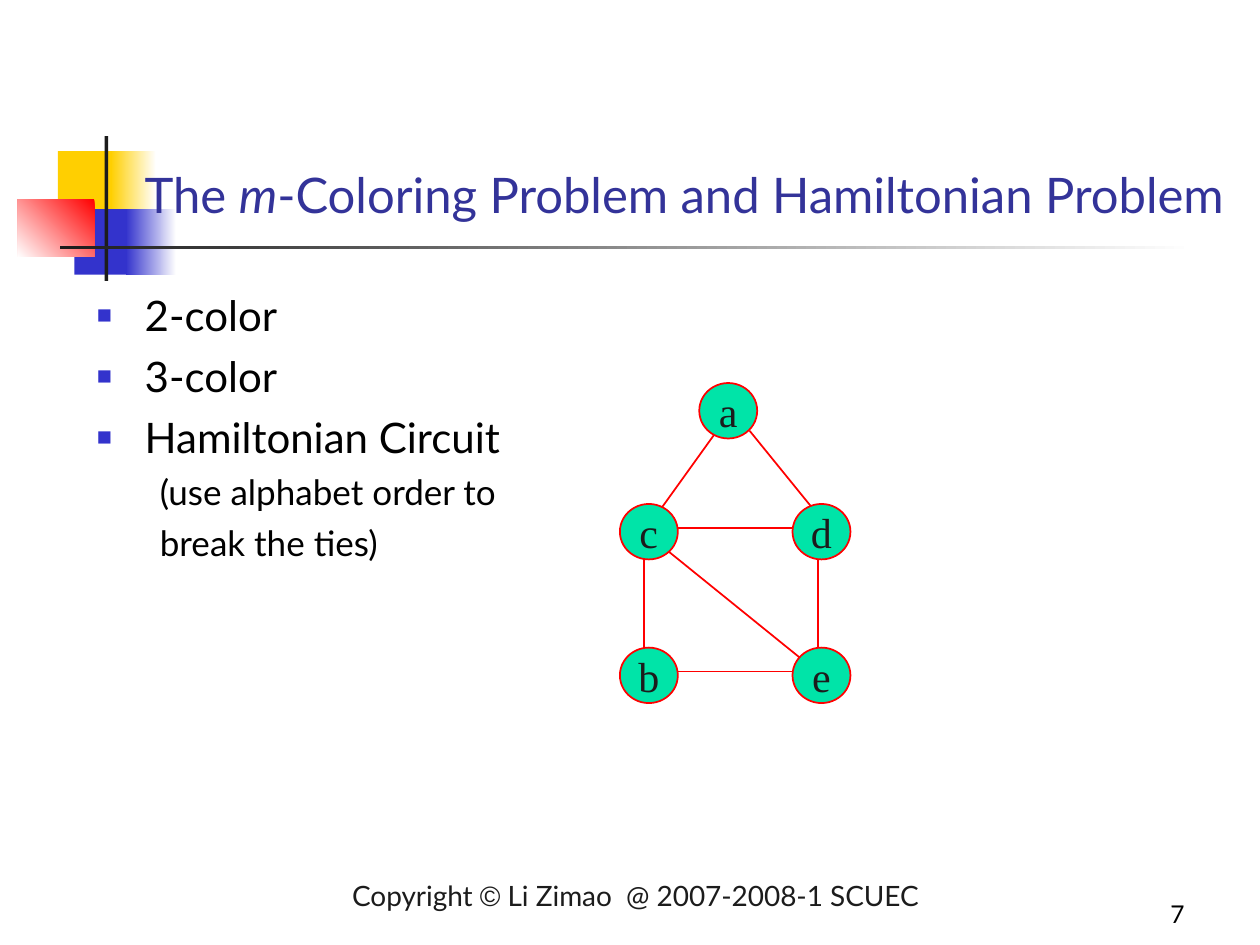
import pptx
import pptx.util
import pptx.dml.color
import pptx.enum.shapes
import pptx.enum.text
import pptx.oxml

Inches = pptx.util.Inches
Pt = pptx.util.Pt
Align = pptx.enum.text.PP_ALIGN
Anchor = pptx.enum.text.MSO_ANCHOR
Shape = pptx.enum.shapes.MSO_SHAPE
Line = pptx.enum.shapes.MSO_CONNECTOR
NS = 'xmlns:a="http://schemas.openxmlformats.org/drawingml/2006/main"'


def color(code):
    return pptx.dml.color.RGBColor.from_string(code)


def add_xml(parent, body):
    """Append one DrawingML element, given without its namespace."""
    name, rest = body.split(" ", 1)
    parent.append(pptx.oxml.parse_xml(f"<a:{name} {NS} {rest}"))


class Deck:
    font = "Lato"
    ink = "1C1C1C"
    edge = "FF0000"
    node = "00E4A8"
    blue = "3333CC"

    def __init__(self, slide):
        self.slide = slide

    def shape(self, kind, left, top, width, height):
        shape = self.slide.shapes.add_shape(
            kind, Inches(left), Inches(top), Inches(width), Inches(height))
        shape.shadow.inherit = False
        shape.line.fill.background()
        return shape

    def bar(self, left, top, width, height, fill):
        shape = self.shape(Shape.RECTANGLE, left, top, width, height)
        shape.fill.solid()
        shape.fill.fore_color.rgb = color(fill)

    def fade(self, left, top, width, height, start, end, angle=180):
        shape = self.shape(Shape.RECTANGLE, left, top, width, height)
        shape.fill.gradient()
        shape.fill.gradient_angle = angle
        for stop, code in zip(shape.fill.gradient_stops, (start, end)):
            stop.color.rgb = color(code)

    def style(self, para, size, code, font=None):
        para.font.size = Pt(size)
        para.font.name = font or self.font
        para.font.color.rgb = color(code)

    def box(self, left, top, width, height, anchor=Anchor.TOP):
        frame = self.slide.shapes.add_textbox(
            Inches(left), Inches(top), Inches(width), Inches(height)).text_frame
        frame.word_wrap = True
        frame.vertical_anchor = anchor
        return frame

    def text(self, frame, parts, size, code, align=Align.LEFT):
        """Fill the first paragraph with runs and return them."""
        para = frame.paragraphs[0]
        para.alignment = align
        self.style(para, size, code)
        runs = []
        for part in parts:
            run = para.add_run()
            run.text = part
            runs.append(run)
        return runs

    def item(self, para, text, size, margin, hang, space, bullet):
        props = para._p.get_or_add_pPr()
        props.set("marL", str(Inches(margin)))
        props.set("indent", str(-Inches(hang)))
        if bullet:
            add_xml(props, f'buClr ><a:srgbClr val="{self.blue}"/></a:buClr>')
            add_xml(props, 'buSzPct val="60000"/>')
            add_xml(props, 'buFont typeface="Arial"/>')
            add_xml(props, 'buChar char="■"/>')
        else:
            add_xml(props, "buNone />")
        if space:
            para.space_before = Pt(space)
        self.style(para, size, "000000")
        para.add_run().text = text

    def link(self, x1, y1, x2, y2):
        line = self.slide.shapes.add_connector(
            Line.STRAIGHT, Inches(x1), Inches(y1), Inches(x2), Inches(y2))
        line.line.color.rgb = color(self.edge)
        line.line.width = Pt(1)
        add_xml(line._element.spPr, "effectLst />")

    def circle(self, name, left, top):
        shape = self.shape(Shape.OVAL, left, top, 0.46, 0.44)
        shape.fill.solid()
        shape.fill.fore_color.rgb = color(self.node)
        shape.line.color.rgb = color(self.edge)
        shape.line.width = Pt(1)
        frame = shape.text_frame
        frame.word_wrap = False
        frame.vertical_anchor = Anchor.MIDDLE
        para = frame.paragraphs[0]
        para.alignment = Align.CENTER
        self.style(para, 24, self.ink, "Times New Roman")
        para.add_run().text = name


def main():
    show = pptx.Presentation()
    show.slide_width, show.slide_height = Inches(10), Inches(7.5)
    deck = Deck(show.slides.add_slide(show.slide_layouts[6]))

    # Corner ornament and rule
    deck.bar(0.46, 1.2, 0.48, 0.52, "FFCF01")
    deck.fade(0.88, 1.2, 0.36, 0.52, "FFFFFF", "FFCF01")
    deck.bar(0.59, 1.66, 0.46, 0.52, deck.blue)
    deck.fade(1, 1.66, 0.4, 0.52, "FFFFFF", deck.blue)
    deck.fade(0.14, 1.58, 0.61, 0.46, "FF0000", "FFFFFF", 225)
    deck.bar(0.83, 1.08, 0.03, 1.15, deck.ink)
    deck.fade(0.48, 1.95, 9, 0.03, "FFFFFF", deck.ink)

    # Footer
    foot = deck.box(1.17, 6.92, 7.75, 0.37)
    runs = deck.text(
        foot, ["Copyright ", "©", " Li Zimao  @ 2007-2008-1 SCUEC"],
        16, deck.ink, Align.CENTER)
    runs[1].font.name = "Arial"

    # Title
    title = deck.box(1.05, 1, 8.95, 0.82, Anchor.BOTTOM)
    runs = deck.text(
        title, ["The ", "m", "-Coloring Problem and Hamiltonian Problem"],
        28, "333399")
    runs[1].font.italic = True

    # Bullet list
    body = deck.box(0.67, 2.25, 9.08, 4.45)
    main_items = ["2-color", "3-color", "Hamiltonian Circuit"]
    notes = ["(use alphabet order to", "break the ties)"]
    for i, text in enumerate(main_items):
        para = body.add_paragraph() if i else body.paragraphs[0]
        deck.item(para, text, 24, 0.38, 0.38, 6 if i else 0, True)
    for text in notes:
        para = body.add_paragraph()
        para.level = 1
        deck.item(para, text, 20, 0.81, 0.31, 5, False)

    # Graph edges
    for y in (4.19, 5.33):
        deck.link(5.37, y, 6.29, y)
    for x in (5.11, 6.49):
        deck.link(x, 4.44, x, 5.14)
    deck.link(5.31, 4.38, 6.41, 5.27)
    deck.link(5.69, 3.42, 5.23, 4.06)
    deck.link(5.95, 3.42, 6.47, 4.06)

    # Graph nodes
    west, east, upper, lower = 4.92, 6.29, 4, 5.14
    nodes = {"c": (west, upper), "d": (east, upper), "a": (5.55, 3.04),
             "e": (east, lower), "b": (west, lower)}
    for name, (left, top) in nodes.items():
        deck.circle(name, left, top)

    # Page number
    page = deck.box(7.42, 6.92, 2.08, 0.5, Anchor.BOTTOM)
    deck.text(page, ["7"], 14, "000000", Align.RIGHT)

    show.save("out.pptx")


if __name__ == "__main__":
    main()
